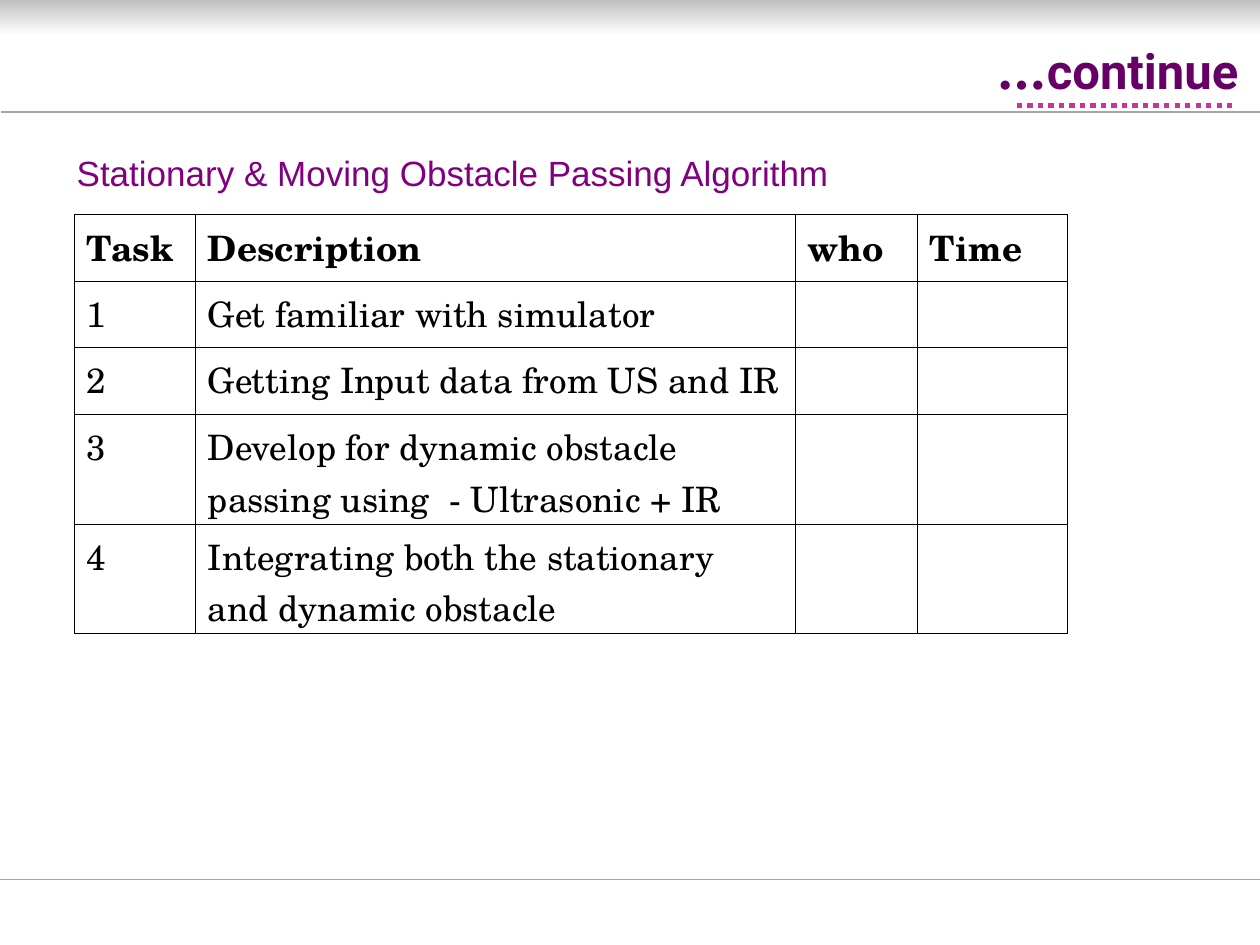
from dataclasses import dataclass

import pptx
import pptx.dml.color
import pptx.enum.dml
import pptx.enum.shapes
import pptx.enum.text
import pptx.oxml
import pptx.oxml.ns
import pptx.util

Inches = pptx.util.Inches
Pt = pptx.util.Pt


@dataclass(frozen=True)
class Theme:
    band_top: str = "BFBFBF"
    band_bottom: str = "FFFFFF"
    rule: str = "A6A6A6"
    accent: str = "CC3399"
    title: str = "660066"
    subtitle: str = "800080"
    ink: str = "000000"
    title_size: float = 28
    text_size: float = 20
    title_font: str = "Roboto"
    subtitle_font: str = "Arial"
    serif_font: str = "TeX Gyre Schola"
    border_width: float = 0.34


@dataclass(frozen=True)
class Rule:
    left: float
    right: float
    y: float
    color: str
    width: float
    dash: pptx.enum.dml.MSO_LINE | None = None


THEME = Theme()
SLIDE_WIDTH, SLIDE_HEIGHT = 10, 7.5
MASTER_RULES = (
    Rule(0.01, 10.01, 0.89, THEME.rule, 0.75),
    Rule(0, 10, 6.98, THEME.rule, 0.75),
)
TITLE_RULE = Rule(8.07, 9.8, 0.84, THEME.accent, 3,
                  pptx.enum.dml.MSO_LINE.ROUND_DOT)
COLUMN_WIDTHS = (0.96, 4.76, 0.97, 1.19)
LINE_ROW, DOUBLE_ROW = 0.53, 0.87
ROW_HEIGHTS = (LINE_ROW,) * 3 + (DOUBLE_ROW,) * 2
HEADINGS = ("Task", "Description", "who", "Time")
TASKS = (
    "Get familiar with simulator",
    "Getting Input data from US and IR",
    "Develop for dynamic obstacle passing using  - Ultrasonic + IR",
    "Integrating both the stationary and dynamic obstacle",
)


def rgb(color: str) -> pptx.dml.color.RGBColor:
    return pptx.dml.color.RGBColor.from_string(color)


def style_font(font, name: str, size: float, color: str, bold: bool = False) -> None:
    font.name = name
    font.size = Pt(size)
    font.bold = bold
    font.color.rgb = rgb(color)


def draw_band(slide) -> None:
    band = slide.shapes.add_shape(
        pptx.enum.shapes.MSO_SHAPE.RECTANGLE, 0, 0, Inches(SLIDE_WIDTH), Inches(0.28))
    band.shadow.inherit = False
    band.line.fill.background()
    band.fill.gradient()
    band.fill.gradient_angle = 270
    for stop, color in zip(band.fill.gradient_stops, (THEME.band_top, THEME.band_bottom)):
        stop.color.rgb = rgb(color)


def draw_rule(slide, rule: Rule) -> None:
    connector = slide.shapes.add_connector(
        pptx.enum.shapes.MSO_CONNECTOR.STRAIGHT,
        Inches(rule.left), Inches(rule.y), Inches(rule.right), Inches(rule.y))
    connector.line.color.rgb = rgb(rule.color)
    connector.line.width = Pt(rule.width)
    if rule.dash is not None:
        connector.line.dash_style = rule.dash
    properties = connector._element.spPr
    properties.append(pptx.oxml.parse_xml(
        f"<a:effectLst {pptx.oxml.ns.nsdecls('a')}/>"))


def fit_frame(frame) -> None:
    """Keep the text on one line, at the top left of a box that fits it."""
    frame.word_wrap = False
    frame.auto_size = pptx.enum.text.MSO_AUTO_SIZE.SHAPE_TO_FIT_TEXT
    frame.vertical_anchor = pptx.enum.text.MSO_ANCHOR.TOP
    frame.paragraphs[0].alignment = pptx.enum.text.PP_ALIGN.LEFT


def fill_title(slide) -> None:
    title = slide.shapes.title
    title.left, title.top = Inches(7.82), Inches(0.36)
    title.width, title.height = Inches(2.27), Inches(0.48)
    fit_frame(title.text_frame)
    paragraph = title.text_frame.paragraphs[0]
    paragraph.line_spacing = 0.8
    for text, font_name in (("…", THEME.serif_font), ("continue", THEME.title_font)):
        run = paragraph.add_run()
        run.text = text
        style_font(run.font, font_name, THEME.title_size, THEME.title, bold=True)


def add_subtitle(slide) -> None:
    box = slide.shapes.add_textbox(
        Inches(0.51), Inches(1.15), Inches(6.18), Inches(0.44))
    fit_frame(box.text_frame)
    paragraph = box.text_frame.paragraphs[0]
    paragraph.text = "Stationary & Moving Obstacle Passing Algorithm"
    style_font(paragraph.font, THEME.subtitle_font, THEME.text_size, THEME.subtitle)


def add_borders(cell) -> None:
    properties = cell._tc.get_or_add_tcPr()
    for position, side in enumerate(("lnL", "lnR", "lnT", "lnB")):
        properties.insert(position, pptx.oxml.parse_xml(
            f"<a:{side} {pptx.oxml.ns.nsdecls('a')} w='{Pt(THEME.border_width)}'>"
            f"<a:solidFill><a:srgbClr val='{THEME.ink}'/></a:solidFill></a:{side}>"))


def add_task_table(slide) -> None:
    rows = [HEADINGS] + [
        (str(number), task, "", "") for number, task in enumerate(TASKS, start=1)]
    table = slide.shapes.add_table(
        len(rows), len(HEADINGS), Inches(0.59), Inches(1.7),
        Inches(sum(COLUMN_WIDTHS)), Inches(sum(ROW_HEIGHTS))).table
    table.first_row = table.horz_banding = False
    for column, width in zip(table.columns, COLUMN_WIDTHS):
        column.width = Inches(width)
    for row_index, (texts, height) in enumerate(zip(rows, ROW_HEIGHTS)):
        table.rows[row_index].height = Inches(height)
        for column_index, text in enumerate(texts):
            cell = table.cell(row_index, column_index)
            cell.fill.background()
            add_borders(cell)
            paragraph = cell.text_frame.paragraphs[0]
            paragraph.text = text
            style_font(paragraph.font, THEME.serif_font, THEME.text_size,
                       THEME.ink, bold=row_index == 0)


def main() -> None:
    presentation = pptx.Presentation()
    presentation.slide_width = Inches(SLIDE_WIDTH)
    presentation.slide_height = Inches(SLIDE_HEIGHT)
    slide = presentation.slides.add_slide(
        presentation.slide_layouts.get_by_name("Title Only"))
    draw_band(slide)
    for rule in MASTER_RULES:
        draw_rule(slide, rule)
    add_task_table(slide)
    add_subtitle(slide)
    fill_title(slide)
    draw_rule(slide, TITLE_RULE)
    presentation.save("out.pptx")


if __name__ == "__main__":
    main()
